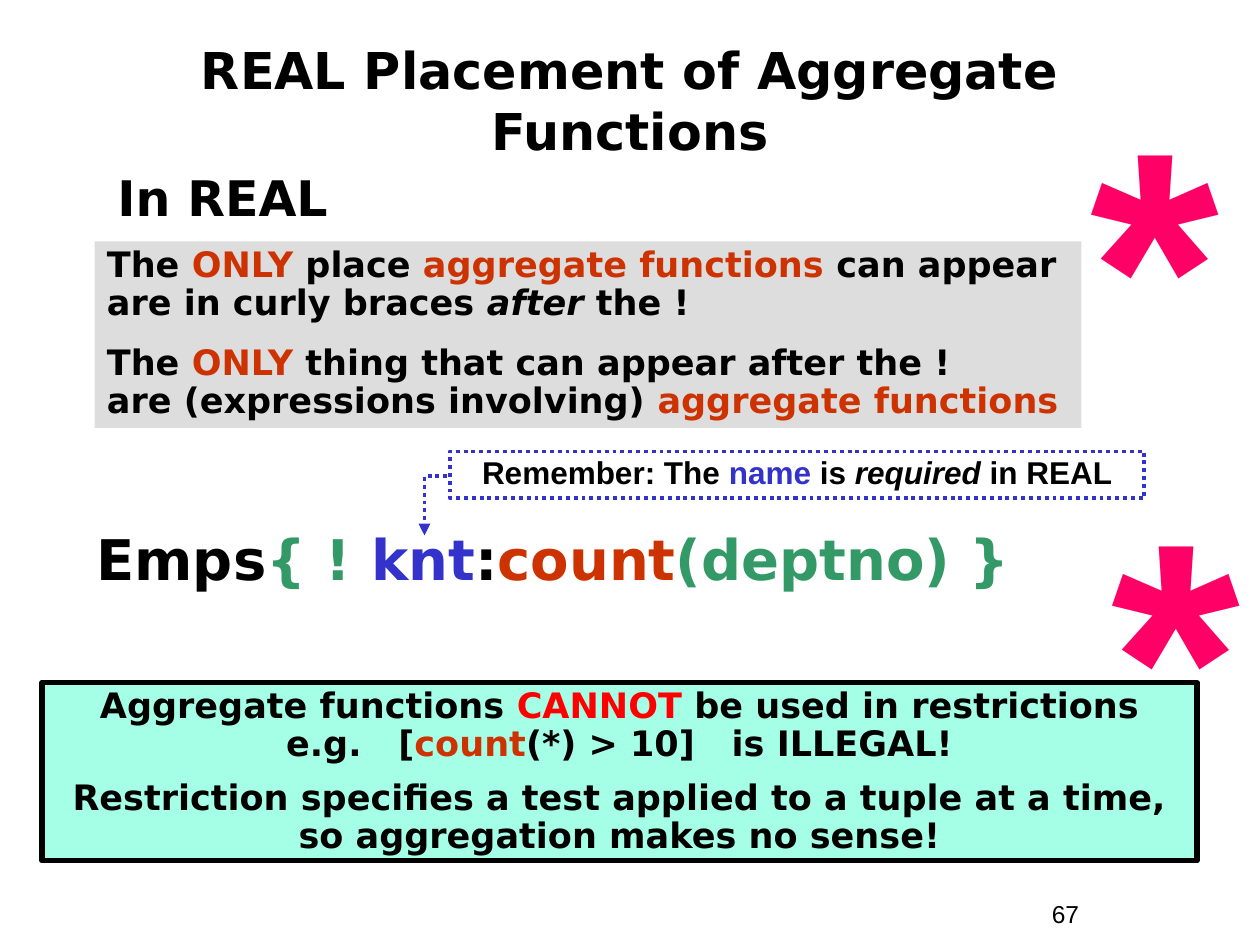
from pptx import Presentation
from pptx.dml.color import RGBColor
from pptx.enum import dml, shapes as sh, text as tx
from pptx.oxml import parse_xml
from pptx.oxml.ns import nsdecls, qn
from pptx.util import Pt

BLACK = RGBColor(0, 0, 0)
RUST = RGBColor(0xCC, 0x33, 0)
RED = RGBColor(0xFF, 0, 0)
BLUE = RGBColor(0x33, 0x33, 0xCC)
GREEN = RGBColor(0x33, 0x99, 0x66)
PINK = RGBColor(0xFF, 0, 0x66)
MINT = RGBColor(0xA5, 0xFF, 0xE7)
GREY = RGBColor(0xDD, 0xDD, 0xDD)
LEFT, MID = tx.PP_ALIGN.LEFT, tx.PP_ALIGN.CENTER
TOP = tx.MSO_ANCHOR.TOP
SANS, ARIAL = "DejaVu Sans", "Arial"
BREAK, WIDE, ITALIC = "break", "wide", "italic"

deck = Presentation()
deck.slide_width, deck.slide_height = Pt(720), Pt(540)
slide = deck.slides.add_slide(deck.slide_layouts[6])


def write(place, *paras, size, font=SANS, color=BLACK, bold=True, align=LEFT,
          anchor=TOP, lead=0.9, gap=0, fill=None, line=None, width=0):
    """Add a box; a run is a string or (string, colour, ITALIC or WIDE)."""
    place = [Pt(n) for n in place]
    if fill or line:
        box = slide.shapes.add_shape(sh.MSO_SHAPE.RECTANGLE, *place)
        box.shadow.inherit = False
        box.fill.background()
        box.line.fill.background()
        if fill:
            box.fill.solid()
            box.fill.fore_color.rgb = fill
        if line:
            box.line.color.rgb = line
            box.line.width = Pt(width)
    else:
        box = slide.shapes.add_textbox(*place)
    frame = box.text_frame
    frame.word_wrap = True
    frame.vertical_anchor = anchor
    for i, runs in enumerate(paras):
        para = frame.add_paragraph() if i else frame.paragraphs[0]
        para.alignment = align
        para.line_spacing = lead
        para.space_before = Pt(gap if i else 0)
        for item in runs:
            if item == BREAK:
                para.add_line_break()
                continue
            words, hue, style = item if isinstance(item, tuple) else (item, color, None)
            run = para.add_run()
            run.text = words
            face = run.font
            face.name, face.size, face.bold = font, Pt(size), bold
            face.color.rgb = hue
            if style == ITALIC:
                face.italic = True
            if style == WIDE:  # one space as wide as three
                run._r.get_or_add_rPr().set("spc", "1400")
    return box


space = (" ", BLACK, WIDE)

write((594, 510, 66, 24), ["67"], size=14, font=ARIAL, bold=False, lead=1)
write((24, 24, 672, 66), ["REAL Placement of Aggregate Functions"],
      size=29, align=MID, anchor=tx.MSO_ANCHOR.MIDDLE, lead=1)
write((48, 302, 594, 60),
      ["Emps", ("{ ! ", GREEN, None), ("knt", BLUE, None), ":",
       ("count", RUST, None), ("(deptno) }", GREEN, None)],
      size=32, lead=0.85)
write((24, 390, 660, 102),
      ["Aggregate functions ", ("CANNOT ", RED, None), "be used in restrictions",
       BREAK, "e.g.", space, "[", ("count", RUST, None), "(*) > 10]", space,
       "is ILLEGAL!"],
      ["Restriction specifies a test applied to a tuple at a time, "
       "so aggregation makes no sense!"],
      size=20, align=MID, gap=9, fill=MINT, line=BLACK, width=3)
write((54, 138, 564, 106.5),
      ["The ", ("ONLY ", RUST, None), "place ", ("aggregate functions", RUST, None),
       " can appear are in curly braces ", ("after", BLACK, ITALIC), " the !"],
      ["The", (" ONLY", RUST, None), " thing that can appear after the !", BREAK,
       "are (expressions involving) ", ("aggregate functions", RUST, None)],
      size=20, gap=12.5, fill=GREY)
write((60, 96, 516, 37.5), ["In REAL"], size=28)
hint = write((257, 258, 397, 26.5),
             ["Remember: The ", ("name", BLUE, None), " is ",
              ("required", BLACK, ITALIC), " in REAL"],
             size=18, font=ARIAL, align=MID, line=BLUE, width=2.25)
hint.line.dash_style = dml.MSO_LINE.ROUND_DOT

arrow = slide.shapes.add_connector(sh.MSO_CONNECTOR.ELBOW,
                                   Pt(255.6), Pt(272.2), Pt(242.6), Pt(306))
arrow.line.color.rgb = BLUE
arrow.line.width = Pt(2.25)
arrow.line.dash_style = dml.MSO_LINE.ROUND_DOT
props = arrow._element.spPr
props.find(qn("a:prstGeom")).set("prst", "bentConnector2")
props.find(qn("a:ln")).append(parse_xml(f'<a:tailEnd {nsdecls("a")} type="triangle"/>'))
props.append(parse_xml(f'<a:effectLst {nsdecls("a")}/>'))

for x, y in ((612, 52.5), (624, 276)):
    write((x, y, 96, 211.5), ["*"], size=189, font=ARIAL, color=PINK, align=MID)

deck.save("out.pptx")
